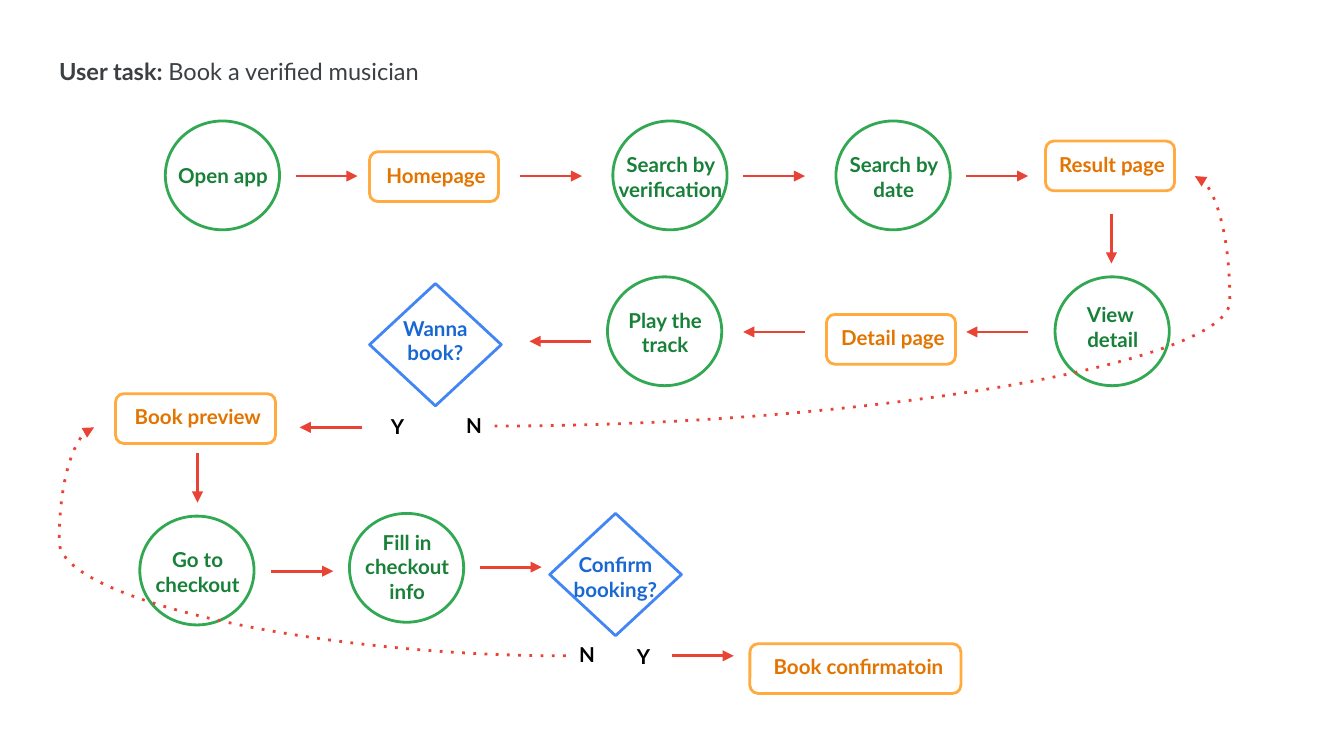
import pptx
import pptx.util
import pptx.dml.color
import pptx.enum.shapes
import pptx.enum.text
import pptx.oxml.ns
from lxml import etree
from pptx.util import Inches

FONT = "Lato"
RED = "E94335"
SHAPES = pptx.enum.shapes.MSO_SHAPE
CONNECTORS = pptx.enum.shapes.MSO_CONNECTOR
ALIGN = pptx.enum.text.PP_ALIGN
STEP_LENGTH = 0.46
DROP_LENGTH = 0.37

# left, top, label, distance from the shape's top to the label's top
ACTIONS = [
    (1.23, 0.9, "Open app", 0.21),
    (4.56, 0.9, "Search by verification", 0.13),
    (6.22, 0.9, "Search by date", 0.13),
    (7.85, 2.06, "View \ndetail", 0.09),
    (4.52, 2.06, "Play the track", 0.13),
    (1.04, 3.84, "Go to checkout", 0.13),
    (2.6, 3.82, "Fill in checkout info", 0.02),
]
# left, top, width, label
PAGES = [
    (2.75, 1.13, 0.96, "Homepage"),
    (7.78, 1.05, 0.96, "Result page"),
    (6.15, 2.34, 0.96, "Detail page"),
    (0.86, 2.93, 1.19, "Book preview"),
    (5.58, 4.79, 1.57, "Book confirmatoin"),
]
# left, top, label, label distance, left of Y, left of N, top of N
DECISIONS = [
    (2.75, 2.11, "Wanna book?", 0.14, 2.81, 3.37, 2.97),
    (4.09, 3.82, "Confirm booking?", 0.19, 4.64, 4.21, 4.68),
]
RIGHT_STEPS = [(2.2, 1.31), (3.87, 1.31), (5.53, 1.31), (7.19, 1.31),
               (2.02, 4.25), (3.57, 4.22), (5, 4.88)]
LEFT_STEPS = [(7.65, 2.47), (5.99, 2.47), (4.4, 2.54), (2.69, 3.18)]
DOWN_STEPS = [(8.27, 1.59), (1.47, 3.37)]
# start, end, bend position as a percentage of the width
RETURNS = [
    ((3.68, 3.17), (8.89, 1.31), 105),
    ((4.21, 4.88), (0.7, 3.18), 107.4),
]


def color(hex_value):
    return pptx.dml.color.RGBColor.from_string(hex_value)


def add_child(parent, tag, **attributes):
    return etree.SubElement(parent, pptx.oxml.ns.qn(tag), attributes)


def add_span(para, text, size, hex_color, bold=True):
    span = para.add_run()
    span.text = text
    span.font.name = FONT
    span.font.size = pptx.util.Pt(size)
    span.font.bold = bold
    span.font.color.rgb = color(hex_color)


def format_frame(frame):
    frame.word_wrap = True
    frame.auto_size = pptx.enum.text.MSO_AUTO_SIZE.NONE
    frame.vertical_anchor = pptx.enum.text.MSO_ANCHOR.TOP
    frame.margin_left = frame.margin_right = Inches(0.1)
    frame.margin_top = frame.margin_bottom = Inches(0.1)


def add_title(page):
    title = page.shapes.title
    title.left, title.top = Inches(0.34), Inches(0.32)
    title.width, title.height = Inches(9.32), Inches(0.34)
    format_frame(title.text_frame)
    para = title.text_frame.paragraphs[0]
    para.alignment = ALIGN.LEFT
    add_span(para, "User task: ", 12.6, "3C4043")
    add_span(para, "Book a verified musician", 12.6, "3C4043", bold=False)


def add_outline(group, kind, left, top, width, height, hex_color):
    shape = group.shapes.add_shape(
        kind, Inches(left), Inches(top), Inches(width), Inches(height))
    shape.shadow.inherit = False
    shape.fill.background()
    shape.line.color.rgb = color(hex_color)
    shape.line.width = pptx.util.Pt(1.5)


def add_label(group, left, top, width, height, text, hex_color, align=ALIGN.CENTER):
    box = group.shapes.add_textbox(
        Inches(left), Inches(top), Inches(width), Inches(height))
    frame = box.text_frame
    format_frame(frame)
    for index, line in enumerate(text.split("\n")):
        para = frame.add_paragraph() if index else frame.paragraphs[0]
        para.alignment = align
        add_span(para, line, 11, hex_color)


def add_action(page, left, top, text, label_drop):
    group = page.shapes.add_group_shape()
    add_outline(group, SHAPES.OVAL, left, top, 0.85, 0.81, "33A853")
    add_label(group, left - 0.12, top + label_drop, 1.1, 0.39, text, "188038")


def add_app_page(page, left, top, width, text):
    group = page.shapes.add_group_shape()
    add_outline(group, SHAPES.ROUNDED_RECTANGLE, left, top, width, 0.37, "FFAB40")
    add_label(group, left - 0.135 * width, top - 0.02, 1.3 * width, 0.56,
              text, "E37400")


def add_decision(page, left, top, text, label_drop, yes_left, no_left, no_top):
    group = page.shapes.add_group_shape()
    add_outline(group, SHAPES.DIAMOND, left, top, 0.98, 0.91, "4285F4")
    add_label(group, left - 0.06, top + label_drop, 1.1, 0.44, text, "1967D2")
    add_label(group, yes_left, no_top + 0.01, 0.31, 0.24, "Y", "000000", ALIGN.LEFT)
    add_label(group, no_left, no_top, 0.31, 0.4, "N", "000000", ALIGN.LEFT)


def add_arrow(page, kind, start, end, dash="solid"):
    arrow = page.shapes.add_connector(kind, *map(Inches, start + end))
    arrow.line.color.rgb = color(RED)
    arrow.line.width = pptx.util.Pt(1.5)
    line = arrow.line._get_or_add_ln()
    add_child(line, "a:prstDash", val=dash)
    add_child(line, "a:tailEnd", type="triangle")
    add_child(arrow._element.spPr, "a:effectLst")
    return arrow


def add_return(page, start, end, bend):
    """Dotted curve, laid from end to start and then turned by 180 degrees."""
    arrow = add_arrow(page, CONNECTORS.CURVE, end, start, "dot")
    properties = arrow._element.spPr
    properties.find(pptx.oxml.ns.qn("a:xfrm")).set("rot", "10800000")
    geometry = properties.find(pptx.oxml.ns.qn("a:prstGeom"))
    guides = geometry.find(pptx.oxml.ns.qn("a:avLst"))
    add_child(guides, "a:gd", name="adj1", fmla=f"val {round(bend * 1000)}")


def main():
    deck = pptx.Presentation()
    deck.slide_width = Inches(10)
    deck.slide_height = deck.slide_width * 9 // 16
    page = deck.slides.add_slide(deck.slide_layouts[5])
    add_title(page)
    for action in ACTIONS:
        add_action(page, *action)
    for app_page in PAGES:
        add_app_page(page, *app_page)
    for decision in DECISIONS:
        add_decision(page, *decision)
    for steps, across, down in [(RIGHT_STEPS, STEP_LENGTH, 0),
                                (LEFT_STEPS, -STEP_LENGTH, 0),
                                (DOWN_STEPS, 0, DROP_LENGTH)]:
        for x, y in steps:
            add_arrow(page, CONNECTORS.STRAIGHT, (x, y), (x + across, y + down))
    for start, end, bend in RETURNS:
        add_return(page, start, end, bend)
    deck.save("out.pptx")


if __name__ == "__main__":
    main()
